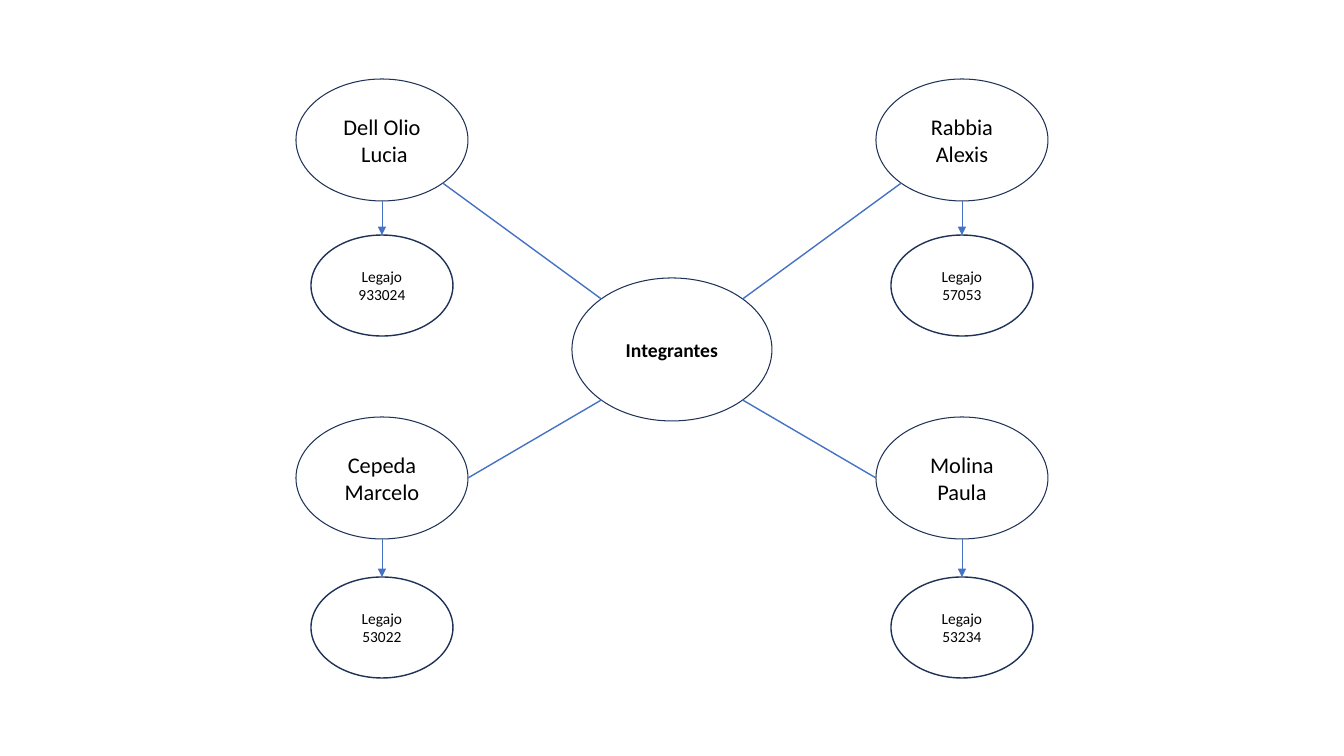
from math import cos, radians, sin

from lxml.etree import SubElement
from pptx import Presentation
from pptx.dml.color import RGBColor
from pptx.enum.shapes import MSO_CONNECTOR, MSO_SHAPE
from pptx.enum.text import MSO_ANCHOR, PP_ALIGN
from pptx.oxml.ns import qn
from pptx.util import Pt

EMU_PER_PX = 914400 / 100.8
TOP, TOP_LEFT, LEFT, BOTTOM_LEFT, BOTTOM, BOTTOM_RIGHT, RIGHT, TOP_RIGHT = range(8)


def px(length):
    return round(length * EMU_PER_PX)


def color(hex_string):
    return RGBColor.from_string(hex_string)


def write(shape, text, size, bold=False, font="Calibri", ink="000000"):
    frame = shape.text_frame
    frame.word_wrap = True
    frame.vertical_anchor = MSO_ANCHOR.MIDDLE
    paragraph = frame.paragraphs[0]
    paragraph.text = text
    paragraph.alignment = PP_ALIGN.CENTER
    for run in paragraph.runs:
        run.font.name = font
        run.font.size = Pt(size)
        run.font.bold = bold
        run.font.color.rgb = color(ink)


def site_point(ellipse, site):
    angle = radians(90 + 45 * site)
    x = ellipse.left + ellipse.width / 2 * (1 + cos(angle))
    y = ellipse.top + ellipse.height / 2 * (1 - sin(angle))
    return round(x), round(y)


class Diagram:
    fill = "FFFFFF"
    outline = "1E3256"
    link_color = "4472C4"

    def __init__(self, slide):
        self.slide = slide

    def ellipse(self, center_x, top, width, height, text, size,
                bold=False, line_width=0.75, inset=None):
        shape = self.slide.shapes.add_shape(
            MSO_SHAPE.OVAL, px(center_x - width // 2), px(top), px(width), px(height))
        shape.shadow.inherit = False
        shape.fill.solid()
        shape.fill.fore_color.rgb = color(self.fill)
        shape.line.color.rgb = color(self.outline)
        shape.line.width = Pt(line_width)
        if inset is not None:
            frame = shape.text_frame
            frame.margin_left = frame.margin_right = px(inset)
            frame.margin_top = frame.margin_bottom = px(inset)
        write(shape, text, size, bold=bold)
        return shape

    def link(self, start, start_site, end, end_site, width=1, arrow=False):
        begin, finish = site_point(start, start_site), site_point(end, end_site)
        connector = self.slide.shapes.add_connector(
            MSO_CONNECTOR.STRAIGHT, *begin, *finish)
        connector.begin_connect(start, 0)
        connector.end_connect(end, 0)
        for tag, site in (("a:stCxn", start_site), ("a:endCxn", end_site)):
            next(connector.element.iter(qn(tag))).set("idx", str(site))
        connector.begin_x, connector.begin_y = begin
        connector.end_x, connector.end_y = finish
        connector.line.color.rgb = color(self.link_color)
        connector.line.width = Pt(width)
        if arrow:
            SubElement(connector.line._get_or_add_ln(), qn("a:tailEnd"), type="triangle")
        SubElement(connector.element.spPr, qn("a:effectLst"))


def main():
    presentation = Presentation()
    presentation.slide_width = px(1344)
    presentation.slide_height = px(756)
    diagram = Diagram(presentation.slides.add_slide(presentation.slide_layouts[6]))

    left_column, right_column = 382, 962
    upper_row, lower_row = (79, 235), (417, 577)
    members = [
        ("Dell Olio\n Lucia", "933024", left_column, upper_row, BOTTOM_RIGHT, TOP_LEFT),
        ("Rabbia\nAlexis", "57053", right_column, upper_row, BOTTOM_LEFT, TOP_RIGHT),
        ("Cepeda\nMarcelo", "53022", left_column, lower_row, RIGHT, BOTTOM_LEFT),
        ("Molina\nPaula", "53234", right_column, lower_row, LEFT, BOTTOM_RIGHT),
    ]
    hub = diagram.ellipse(672, 278, 200, 143, "Integrantes", 14, bold=True, inset=4)
    for name, number, column, (name_top, file_top), member_site, hub_site in members:
        member = diagram.ellipse(column, name_top, 172, 122, name, 16, inset=4)
        file_number = diagram.ellipse(
            column, file_top, 142, 101, f"Legajo\n{number}", 11, line_width=1)
        diagram.link(hub, hub_site, member, member_site)
        diagram.link(member, BOTTOM, file_number, TOP, width=0.5, arrow=True)

    presentation.save("out.pptx")


if __name__ == "__main__":
    main()
